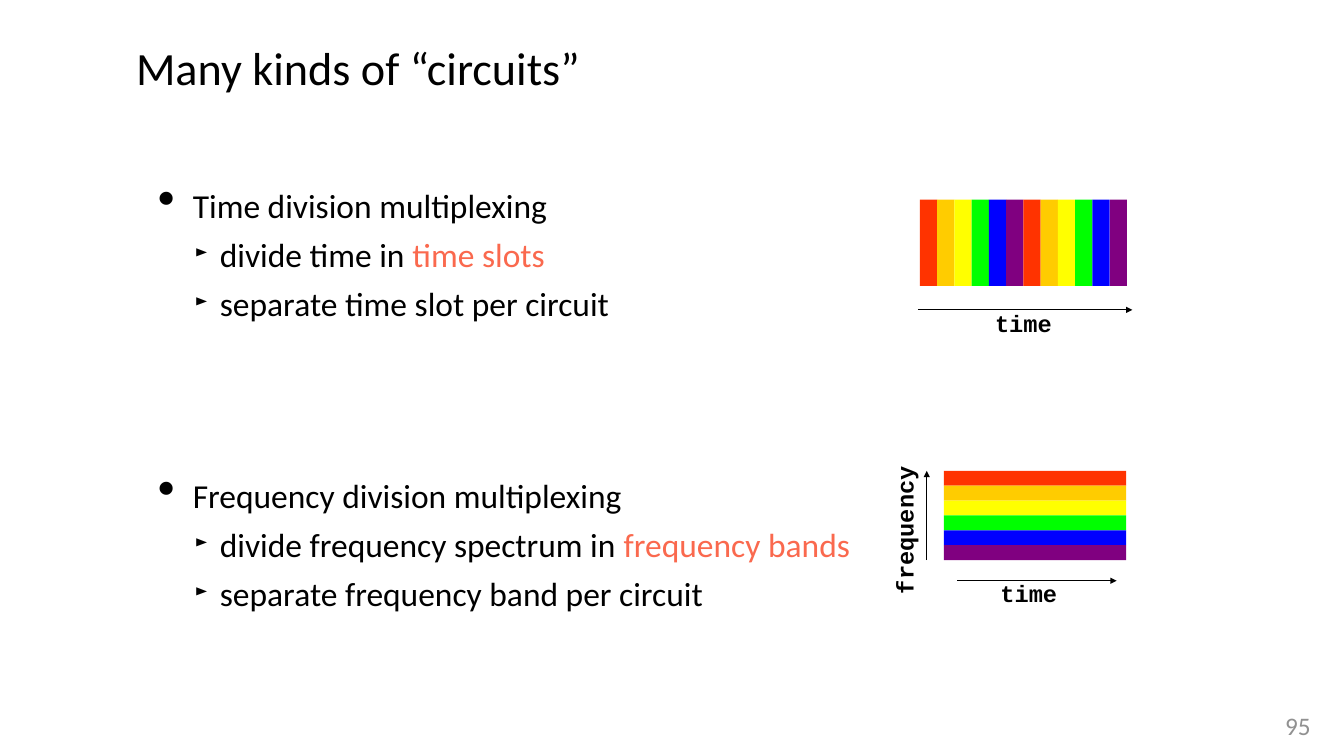
from lxml import etree
from pptx import Presentation
from pptx.dml.color import RGBColor
from pptx.enum.shapes import MSO_CONNECTOR as Connector, MSO_SHAPE as Shape
from pptx.enum.text import MSO_ANCHOR as Anchor, PP_ALIGN as Align
from pptx.oxml.ns import qn
from pptx.util import Cm, Pt

BLACK = RGBColor(0x00, 0x00, 0x00)
GREY = RGBColor(0x91, 0x91, 0x91)
CORAL = RGBColor(0xFA, 0x69, 0x4E)
CIRCUIT_COLORS = [
    RGBColor(0xFF, 0x33, 0x00), RGBColor(0xFF, 0xCC, 0x00),
    RGBColor(0xFF, 0xFF, 0x00), RGBColor(0x00, 0xFF, 0x00),
    RGBColor(0x00, 0x00, 0xFF), RGBColor(0x80, 0x00, 0x80),
]

# Bullet character, size in percent, left margin and hanging indent in cm
TOPIC = ("•", 150, 2.06, 1.17)
DETAIL = ("►", 50, 2.97, 0.84)

# Each line: bullet style, plain text, highlighted text
TIME_DIVISION = [
    (TOPIC, "Time division multiplexing", ""),
    (DETAIL, "divide time in ", "time slots"),
    (DETAIL, "separate time slot per circuit", ""),
]
FREQUENCY_DIVISION = [
    (TOPIC, "Frequency division multiplexing", ""),
    (DETAIL, "divide frequency spectrum in ", "frequency bands"),
    (DETAIL, "separate frequency band per circuit", ""),
]


def style_run(run, size, color=BLACK, name="Calibri", bold=False):
    run.font.size = Pt(size)
    run.font.name = name
    run.font.bold = bold
    run.font.color.rgb = color


def set_margins(frame, margin):
    frame.margin_left = frame.margin_right = Cm(margin)
    frame.margin_top = frame.margin_bottom = Cm(margin)


def set_title(slide, text):
    title = slide.shapes.title
    title.left, title.top = Cm(4.42), Cm(0)
    title.width, title.height = Cm(36.35), Cm(4.52)
    frame = title.text_frame
    frame.text = text
    set_margins(frame, 0.15)
    frame.vertical_anchor = Anchor.MIDDLE
    frame.paragraphs[0].alignment = Align.LEFT
    style_run(frame.paragraphs[0].runs[0], 44)


def set_bullet(paragraph, char, percent, margin, hanging):
    props = paragraph._p.get_or_add_pPr()
    props.set("marL", str(Cm(margin)))
    props.set("indent", str(-Cm(hanging)))
    etree.SubElement(props, qn("a:buSzPct")).set("val", str(percent * 1000))
    etree.SubElement(props, qn("a:buChar")).set("char", char)


def add_bullets(slide, top, lines):
    box = slide.shapes.add_textbox(Cm(4.42), Cm(top), Cm(36.35), Cm(4.8))
    frame = box.text_frame
    frame.word_wrap = True
    set_margins(frame, 0)
    for index, (bullet, plain, highlight) in enumerate(lines):
        paragraph = frame.add_paragraph() if index else frame.paragraphs[0]
        paragraph.text = plain
        style_run(paragraph.runs[0], 31.9)
        if highlight:
            run = paragraph.add_run()
            run.text = highlight
            style_run(run, 31.9, CORAL)
        if index:
            paragraph.level = 1
            paragraph.space_before = Pt(8.7)
        set_bullet(paragraph, *bullet)


def add_label(slide, left, top, width, height, text):
    box = slide.shapes.add_textbox(Cm(left), Cm(top), Cm(width), Cm(height))
    box.text_frame.word_wrap = False
    box.text_frame.text = text
    paragraph = box.text_frame.paragraphs[0]
    paragraph.alignment = Align.CENTER
    return box, paragraph.runs[0]


def add_axis_label(slide, left, top, width, text, rotation=0):
    box, run = add_label(slide, left, top, width, 1.22, text)
    box.rotation = rotation
    style_run(run, 22.5, name="Courier New", bold=True)


def add_axis(slide, x1, y1, x2, y2):
    axis = slide.shapes.add_connector(
        Connector.STRAIGHT, Cm(x1), Cm(y1), Cm(x2), Cm(y2))
    axis.line.color.rgb = BLACK
    axis.line.width = Pt(0.75)
    etree.SubElement(axis.line._get_or_add_ln(), qn("a:tailEnd")).set("type", "triangle")
    etree.SubElement(axis._element.spPr, qn("a:effectLst"))


def add_stripes(slide, left, top, width, height, step_x, step_y, count):
    for index in range(count):
        stripe = slide.shapes.add_shape(
            Shape.RECTANGLE, Cm(left + index * step_x), Cm(top + index * step_y),
            Cm(width), Cm(height))
        stripe.shadow.inherit = False
        stripe.fill.solid()
        stripe.fill.fore_color.rgb = CIRCUIT_COLORS[index % len(CIRCUIT_COLORS)]
        stripe.line.fill.background()


def add_page_number(slide, number):
    box, run = add_label(slide, 43.03, 23.85, 1.17, 1.27, number)
    set_margins(box.text_frame, 0)
    style_run(run, 24, GREY)


def main():
    deck = Presentation()
    deck.slide_width, deck.slide_height = Cm(45.16), Cm(25.4)
    slide = deck.slides.add_slide(deck.slide_layouts[5])

    # Title and explanations
    set_title(slide, "Many kinds of “circuits”")
    add_bullets(slide, 6.21, TIME_DIVISION)
    add_bullets(slide, 15.95, FREQUENCY_DIVISION)

    # Time slots: the circuits take turns
    add_stripes(slide, 30.91, 6.71, 0.58, 2.9, 0.58, 0, 12)
    add_axis(slide, 30.84, 10.41, 38.05, 10.41)
    add_axis_label(slide, 33.17, 10.24, 2.44, "time")

    # Frequency bands: the circuits run side by side
    add_stripes(slide, 31.72, 15.82, 6.12, 0.5, 0, 0.5, 6)
    add_axis(slide, 31.14, 18.82, 31.14, 15.82)
    add_axis_label(slide, 27.97, 17.2, 4.85, "frequency", 270)
    add_axis(slide, 32.16, 19.51, 37.52, 19.51)
    add_axis_label(slide, 33.35, 19.33, 2.44, "time")

    add_page_number(slide, "95")
    deck.save("out.pptx")


if __name__ == "__main__":
    main()
